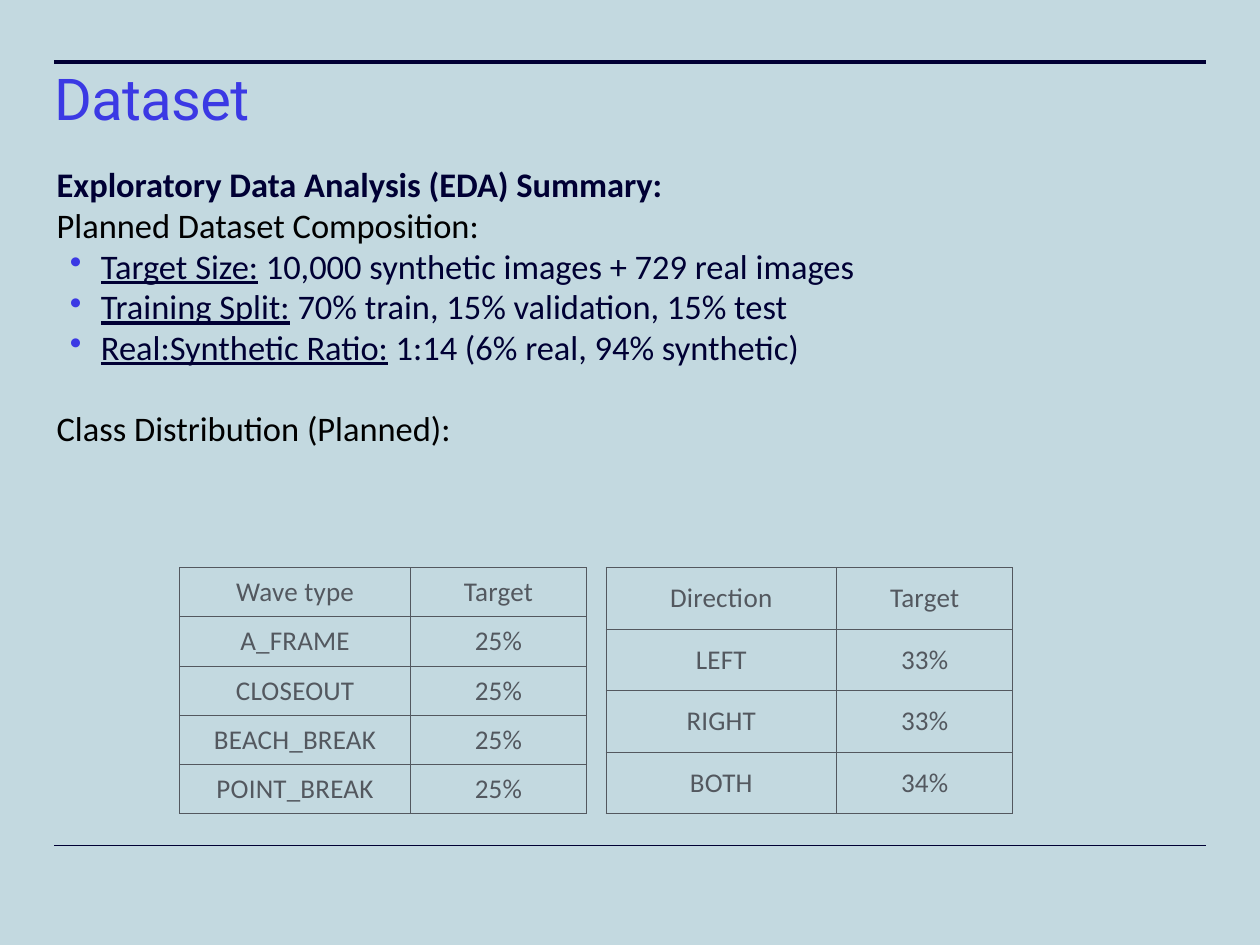
from lxml import etree
from pptx import Presentation
from pptx.dml.color import RGBColor
from pptx.enum.shapes import MSO_CONNECTOR
from pptx.enum.text import MSO_ANCHOR, PP_ALIGN
from pptx.oxml.ns import qn
from pptx.util import Inches, Pt

STRAIGHT = MSO_CONNECTOR.STRAIGHT
CENTER = PP_ALIGN.CENTER
MIDDLE = MSO_ANCHOR.MIDDLE

BACKGROUND = "C3D9E0"
NAVY = "000034"
BLACK = "000000"
INDIGO = "3B39E4"
GRAY = "53585F"


def color(value):
    return RGBColor.from_string(value)


class SlideBuilder:
    """Holds the text style and the slide being built."""

    def __init__(self, slide):
        self.slide = slide
        self.body_font = "Calibri"
        self.title_font = "Roboto"
        self.body_size = 28
        self.table_size = 22
        self.inset = 0.06

    def background(self, value):
        fill = self.slide.background.fill
        fill.solid()
        fill.fore_color.rgb = color(value)

    def rule(self, y, width):
        line = self.slide.shapes.add_connector(
            STRAIGHT, Inches(0.61), Inches(y), Inches(13.61), Inches(y))
        line.line.color.rgb = color(NAVY)
        line.line.width = Pt(width)
        etree.SubElement(line._element.spPr, qn("a:effectLst"))

    def format_run(self, run, font, size, value, bold=False, underline=False, spacing=0):
        run.font.name = font
        run.font.size = Pt(size)
        run.font.color.rgb = color(value)
        run.font.bold = bold
        run.font.underline = underline
        if spacing:
            run._r.get_or_add_rPr().set("spc", str(round(spacing * 100)))

    def text_box(self, left, top, width, height, inset):
        box = self.slide.shapes.add_textbox(
            Inches(left), Inches(top), Inches(width), Inches(height))
        frame = box.text_frame
        frame.word_wrap = True
        frame.margin_left = frame.margin_right = Inches(inset)
        frame.margin_top = frame.margin_bottom = Inches(inset)
        return frame

    def title(self, text):
        frame = self.text_box(0.58, 0.83, 13.06, 1.58, 0.03)
        frame.text = text
        paragraph = frame.paragraphs[0]
        paragraph.line_spacing = 0.8
        self.format_run(paragraph.runs[0], self.title_font, 46.9, INDIGO, spacing=-0.5)

    def bullet(self, paragraph):
        properties = paragraph._p.get_or_add_pPr()
        properties.set("marL", str(Inches(0.5)))
        properties.set("indent", str(Inches(-0.35)))
        bullet_color = etree.SubElement(properties, qn("a:buClr"))
        etree.SubElement(bullet_color, qn("a:srgbClr"), val=INDIGO)
        etree.SubElement(properties, qn("a:buChar"), char="•")

    def body(self, heading, subheading, facts, closing):
        frame = self.text_box(0.58, 1.81, 12.29, 4.2, self.inset)

        def add_line(parts, paragraph=None):
            paragraph = paragraph or frame.add_paragraph()
            paragraph.line_spacing = 0.98
            for text, value, bold, underline in parts:
                run = paragraph.add_run()
                run.text = text
                self.format_run(run, self.body_font, self.body_size, value, bold, underline)
            return paragraph

        add_line([(heading, NAVY, True, False)], frame.paragraphs[0])
        add_line([(subheading, BLACK, False, False)])
        for label, detail in facts:
            self.bullet(add_line([(label, NAVY, False, True),
                                  (" " + detail, NAVY, False, False)]))
        last = add_line([(closing, BLACK, False, False)])
        last.space_before = Pt(33.6)

    def cell_borders(self, cell):
        properties = cell._tc.get_or_add_tcPr()
        for position, side in enumerate(("lnL", "lnR", "lnT", "lnB")):
            border = etree.Element(qn("a:" + side), w=str(Pt(1)))
            fill = etree.SubElement(border, qn("a:solidFill"))
            etree.SubElement(fill, qn("a:srgbClr"), val=GRAY)
            properties.insert(position, border)

    def table(self, left, rows):
        top, height, widths = 6.41, 2.78, (2.6, 1.99)
        table = self.slide.shapes.add_table(
            len(rows), len(widths), Inches(left), Inches(top),
            Inches(sum(widths)), Inches(height)).table
        table.first_row = table.horz_banding = False
        for column, width in zip(table.columns, widths):
            column.width = Inches(width)
        for row_index, values in enumerate(rows):
            for column_index, value in enumerate(values):
                cell = table.cell(row_index, column_index)
                cell.text = value
                cell.fill.background()
                self.cell_borders(cell)
                cell.vertical_anchor = MIDDLE
                cell.margin_left = cell.margin_right = Inches(self.inset)
                cell.margin_top = cell.margin_bottom = Inches(self.inset)
                paragraph = cell.text_frame.paragraphs[0]
                paragraph.alignment = CENTER
                self.format_run(paragraph.runs[0], self.body_font, self.table_size,
                                GRAY, spacing=0.2)


def main():
    presentation = Presentation()
    presentation.slide_width = Inches(14.22)
    presentation.slide_height = Inches(10.67)
    builder = SlideBuilder(presentation.slides.add_slide(presentation.slide_layouts[6]))

    # Background and rules
    builder.background(BACKGROUND)
    builder.rule(9.55, 1)
    builder.rule(0.7, 4)

    # Title and summary
    builder.title("Dataset")
    builder.body(
        "Exploratory Data Analysis (EDA) Summary:",
        "Planned Dataset Composition:",
        [("Target Size:", "10,000 synthetic images + 729 real images"),
         ("Training Split:", "70% train, 15% validation, 15% test"),
         ("Real:Synthetic Ratio:", "1:14 (6% real, 94% synthetic)")],
        "Class Distribution (Planned):")

    # Class distribution tables
    wave_types = ("A_FRAME", "CLOSEOUT", "BEACH_BREAK", "POINT_BREAK")
    builder.table(2.03, [("Wave type", "Target")] + [(wave, "25%") for wave in wave_types])
    builder.table(6.84, [("Direction", "Target"), ("LEFT", "33%"),
                         ("RIGHT", "33%"), ("BOTH", "34%")])

    presentation.save("out.pptx")


if __name__ == "__main__":
    main()
